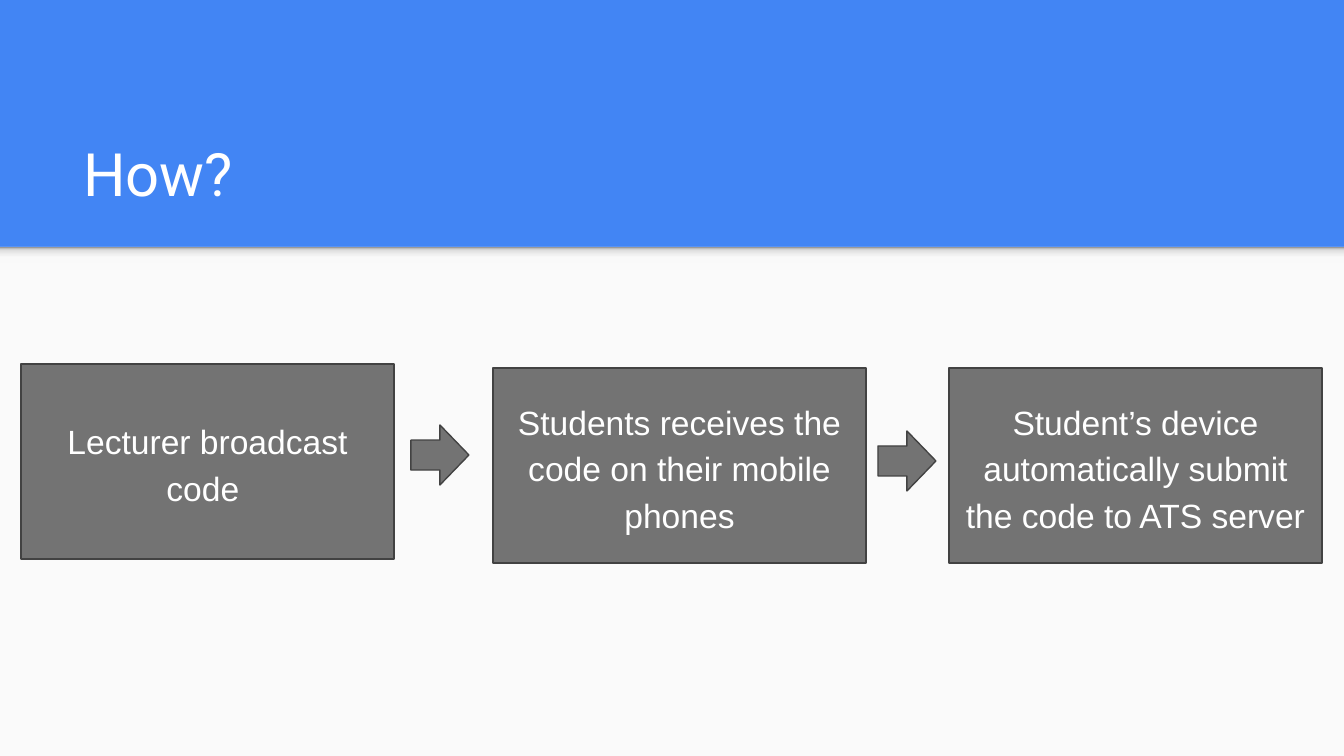
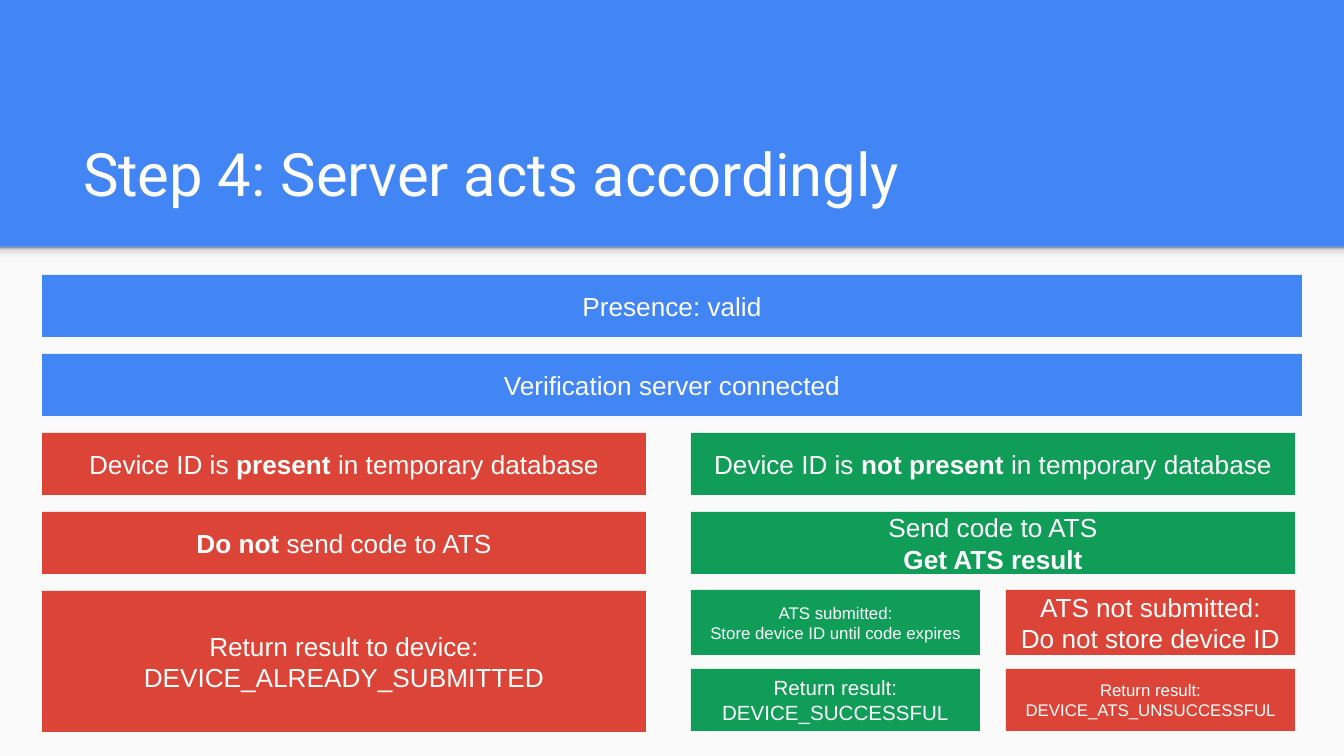
from lxml.etree import SubElement
from pptx import Presentation
from pptx.dml.color import RGBColor
from pptx.enum.shapes import MSO_SHAPE as Shape
from pptx.enum.text import MSO_ANCHOR as Anchor, MSO_AUTO_SIZE as AutoSize, PP_ALIGN as Align
from pptx.oxml.ns import qn
from pptx.util import Pt

EMU_PER_PX = 914400 / 134.4
SLIDE_WIDTH, SLIDE_HEIGHT = 1344, 756
HEADER_HEIGHT = 247
INSET = 13

BLUE, RED, GREEN = "4285F4", "DB4437", "0F9D58"
WHITE, PAPER, GRAY, OUTLINE = "FFFFFF", "FAFAFA", "737373", "424242"
SHADE_STOPS = [(0, "F9F9F9"), (36, "F9F9F9"), (80, "DEDEDE"), (100, "999999")]


def px(length):
    return round(length * EMU_PER_PX)


def rgb(color):
    return RGBColor.from_string(color)


def add_block(slide, kind, box, fill, line=None):
    shape = slide.shapes.add_shape(kind, *map(px, box))
    shape.shadow.inherit = False
    shape.fill.solid()
    shape.fill.fore_color.rgb = rgb(fill)
    if line:
        shape.line.color.rgb = rgb(line)
        shape.line.width = Pt(0.75)
    else:
        shape.line.fill.background()
    return shape


def set_frame(text_frame, anchor):
    text_frame.word_wrap = True
    text_frame.auto_size = AutoSize.NONE
    text_frame.vertical_anchor = anchor
    text_frame.margin_left = text_frame.margin_right = px(INSET)
    text_frame.margin_top = text_frame.margin_bottom = px(INSET)


def format_run(run, font_name, size):
    run.font.name = font_name
    run.font.size = Pt(size)
    run.font.color.rgb = rgb(WHITE)


def add_label(slide, box, text, fill, size=14, line=None, spacing=None):
    """Add a filled box with centred text; ** switches bold on and off."""
    text_frame = add_block(slide, Shape.RECTANGLE, box, fill, line).text_frame
    set_frame(text_frame, Anchor.MIDDLE)
    for index, content in enumerate(text.split("\n")):
        paragraph = text_frame.add_paragraph() if index else text_frame.paragraphs[0]
        paragraph.alignment = Align.CENTER
        paragraph.line_spacing = spacing
        for part, words in enumerate(content.split("**")):
            if words:
                run = paragraph.add_run()
                run.text = words
                run.font.bold = part % 2 == 1
                format_run(run, "Arial", size)


def add_arrow(slide, left, top):
    arrow = add_block(slide, Shape.DOWN_ARROW, (left, top, 60, 58), GRAY, OUTLINE)
    arrow.rotation = 270


def add_header_shade(slide):
    """Add the soft shadow strip that lies under the header band."""
    strip = add_block(slide, Shape.RECTANGLE, (0, HEADER_HEIGHT, SLIDE_WIDTH, 16), PAPER)
    strip.fill.gradient()
    strip.fill.gradient_angle = 90
    stops = strip._element.spPr.find(".//" + qn("a:gsLst"))
    stops.clear()
    for position, color in SHADE_STOPS:
        stop = SubElement(stops, qn("a:gs"), pos=str(position * 1000))
        SubElement(stop, qn("a:srgbClr"), val=color)


def add_titled_slide(presentation, title_text):
    slide = presentation.slides.add_slide(presentation.slide_layouts[5])
    slide.background.fill.solid()
    slide.background.fill.fore_color.rgb = rgb(BLUE)
    body = (0, HEADER_HEIGHT, SLIDE_WIDTH, SLIDE_HEIGHT - HEADER_HEIGHT)
    add_block(slide, Shape.RECTANGLE, body, PAPER)
    add_header_shade(slide)

    title = slide.shapes.title
    title.left, title.top, title.width, title.height = map(px, (70, 109, 1208, 113))
    title.text_frame.text = title_text
    set_frame(title.text_frame, Anchor.BOTTOM)
    paragraph = title.text_frame.paragraphs[0]
    paragraph.alignment = Align.LEFT
    format_run(paragraph.runs[0], "Roboto", 32)
    return slide


def build_how(presentation):
    slide = add_titled_slide(presentation, "How?")
    steps = [
        (21, 364, "Lecturer broadcast code "),
        (493, 368, "Students receives the code on their mobile phones"),
        (949, 368, "Student’s device automatically submit the code to ATS server"),
    ]
    for left, top, text in steps:
        add_label(slide, (left, top, 373, 195), text, GRAY, 18, OUTLINE, 1.15)
    for left, top in [(410, 426), (877, 432)]:
        add_arrow(slide, left, top)


def build_server_actions(presentation):
    slide = add_titled_slide(presentation, "Step 4: Server acts accordingly")
    row_height = 62
    rows = [275 + 79 * index for index in range(6)]
    left, right, far_right = 42, 691, 1006
    full, half, quarter = 1260, 604, 289
    outcome_top, outcome_height = rows[4] - 1, 65
    result_height = rows[5] + row_height - rows[4]

    for top, text in zip(rows, ["Presence: valid", "Verification server connected"]):
        add_label(slide, (left, top, full, row_height), text, BLUE)

    branches = [
        (left, RED, ["Device ID is **present** in temporary database",
                     "**Do not** send code to ATS"]),
        (right, GREEN, ["Device ID is **not present** in temporary database",
                        "Send code to ATS\n**Get ATS result**"]),
    ]
    for column, color, texts in branches:
        for top, text in zip(rows[2:], texts):
            add_label(slide, (column, top, half, row_height), text, color)
    add_label(slide, (left, rows[4], half, result_height),
              "Return result to device:\nDEVICE_ALREADY_SUBMITTED", RED)

    outcomes = [
        (right, GREEN, "ATS submitted:\nStore device ID until code expires", 9,
         "Return result:\nDEVICE_SUCCESSFUL", 11),
        (far_right, RED, "ATS not submitted:\nDo not store device ID", 14,
         "Return result:\nDEVICE_ATS_UNSUCCESSFUL", 9),
    ]
    for column, color, action, action_size, result, result_size in outcomes:
        add_label(slide, (column, outcome_top, quarter, outcome_height),
                  action, color, action_size)
        add_label(slide, (column, rows[5] - 1, quarter, row_height),
                  result, color, result_size)


def main():
    presentation = Presentation()
    presentation.slide_width = px(SLIDE_WIDTH)
    presentation.slide_height = px(SLIDE_HEIGHT)
    build_how(presentation)
    build_server_actions(presentation)
    presentation.save("out.pptx")


if __name__ == "__main__":
    main()
